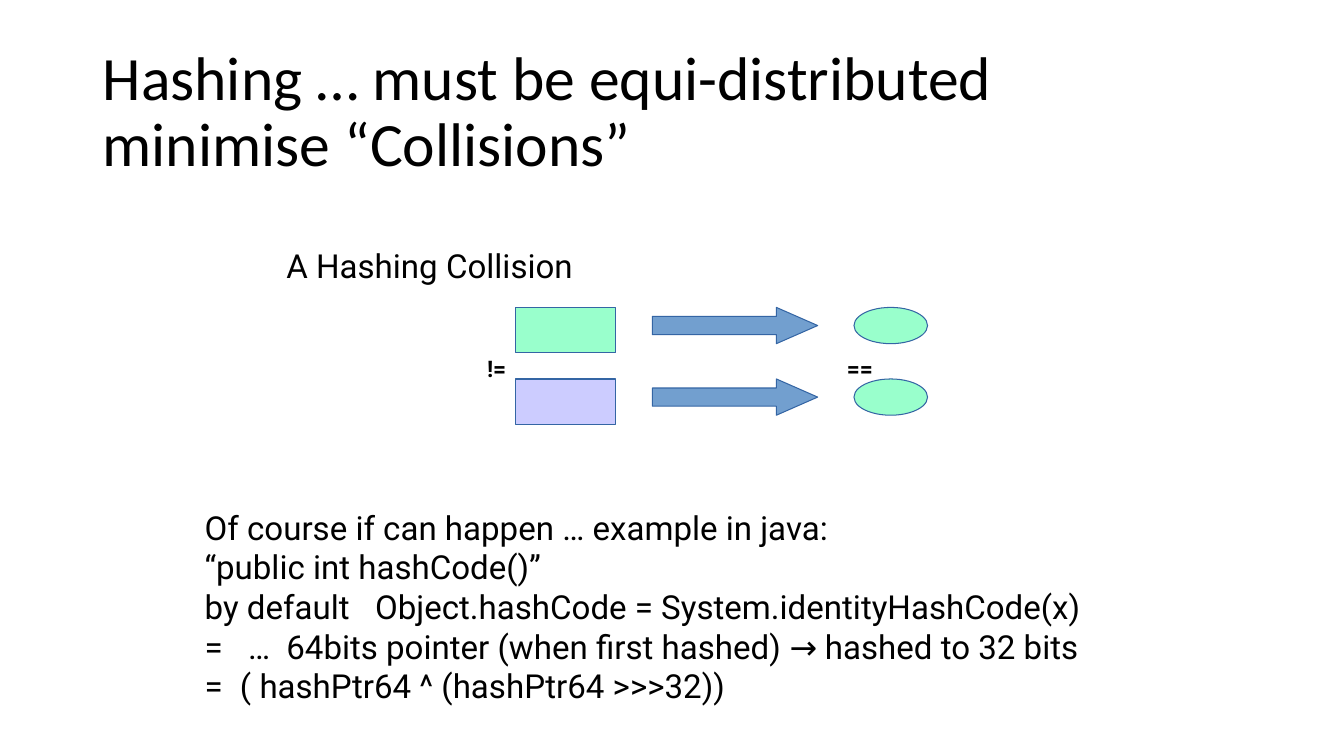
from lxml import etree
from pptx import Presentation
from pptx.dml.color import RGBColor
from pptx.enum import shapes, text
from pptx.oxml.ns import qn
from pptx.util import Inches, Pt

THEME = {
    "title_font": "Calibri", "body_font": "Roboto",
    "title_size": 44, "body_size": 23.6, "sign_size": 16.3,
    "ink": "000000", "outline": "3465A4", "arrow": "729FCF",
    "green": "99FFCC", "violet": "CCCCFF",
}

TITLE = "Hashing … must be equi-distributed\nminimise “Collisions”"
CAPTION = "A Hashing Collision"
# Each line with its tab stops in inches
EXPLANATION = [
    ("Of course if can happen … example in java:", []),
    ("“public int hashCode()”", []),
    ("by default\tObject.hashCode = System.identityHashCode(x)", [1.69]),
    ("=\t…\t64bits pointer (when first hashed) → hashed to 32 bits", [0.43, 0.81]),
    ("=\t( hashPtr64 ^ (hashPtr64 >>>32))", [0.35]),
]
OBJECT_COLORS = ["green", "violet"]
SIGNS = [("!=", 4.74, 0.39), ("==", 8.31, 0.45)]

ROW_TOP, ROW_STEP = 3.05, 0.71
OBJECT_LEFT, ARROW_LEFT, HASH_LEFT = 5.11, 6.47, 8.47
OBJECT_SIZE, ARROW_SIZE, HASH_SIZE = (1, 0.45), (1.64, 0.36), (0.73, 0.36)
ARROW_HEAD = 0.41


def add_text(slide, box, lines, size, font="body_font", bold=False, wrap=False,
             inset=(0.09, 0.04), anchor=text.MSO_ANCHOR.TOP, spacing=None):
    """Add a text box; lines holds (words, tab stops) pairs."""
    frame = slide.shapes.add_textbox(*map(Inches, box)).text_frame
    frame.word_wrap = wrap
    frame.vertical_anchor = anchor
    frame.margin_left = frame.margin_right = Inches(inset[0])
    frame.margin_top = frame.margin_bottom = Inches(inset[1])
    for index, (words, stops) in enumerate(lines):
        paragraph = frame.add_paragraph() if index else frame.paragraphs[0]
        paragraph.text = words
        if stops:
            properties = paragraph._p.get_or_add_pPr()
            tab_list = etree.SubElement(properties, qn("a:tabLst"))
            for stop in stops:
                etree.SubElement(tab_list, qn("a:tab"), pos=str(Inches(stop)), algn="l")
        if spacing:
            paragraph.line_spacing = spacing
        paragraph.font.name = THEME[font]
        paragraph.font.size = Pt(THEME[size])
        paragraph.font.bold = bold
        paragraph.font.color.rgb = RGBColor.from_string(THEME["ink"])


def add_figure(slide, kind, left, top, size, color):
    shape = slide.shapes.add_shape(kind, *map(Inches, (left, top, *size)))
    shape.shadow.inherit = False
    shape.fill.solid()
    shape.fill.fore_color.rgb = RGBColor.from_string(THEME[color])
    shape.line.color.rgb = RGBColor.from_string(THEME["outline"])
    shape.line.width = Pt(0)
    return shape


def main():
    presentation = Presentation()
    presentation.slide_width, presentation.slide_height = Inches(13.33), Inches(7.5)
    slide = presentation.slides.add_slide(presentation.slide_layouts[6])

    add_text(slide, (0.92, 0.4, 11.5, 1.45), [(TITLE, [])], "title_size", "title_font",
             wrap=True, inset=(0.1, 0.05), anchor=text.MSO_ANCHOR.MIDDLE, spacing=0.9)
    add_text(slide, (2.75, 2.4, 3.03, 0.47), [(CAPTION, [])], "body_size")

    kinds = shapes.MSO_SHAPE
    for row, color in enumerate(OBJECT_COLORS):
        top = ROW_TOP + row * ROW_STEP
        add_figure(slide, kinds.RECTANGLE, OBJECT_LEFT, top, OBJECT_SIZE, color)
        arrow = add_figure(slide, kinds.RIGHT_ARROW, ARROW_LEFT, top, ARROW_SIZE, "arrow")
        arrow.adjustments[1] = ARROW_HEAD / ARROW_SIZE[1]
        add_figure(slide, kinds.OVAL, HASH_LEFT, top, HASH_SIZE, "green")

    for sign, left, width in SIGNS:
        add_text(slide, (left, 3.48, width, 0.35), [(sign, [])], "sign_size", bold=True)

    add_text(slide, (1.94, 4.99, 9.18, 1.99), EXPLANATION, "body_size", wrap=True)
    presentation.save("out.pptx")


if __name__ == "__main__":
    main()
